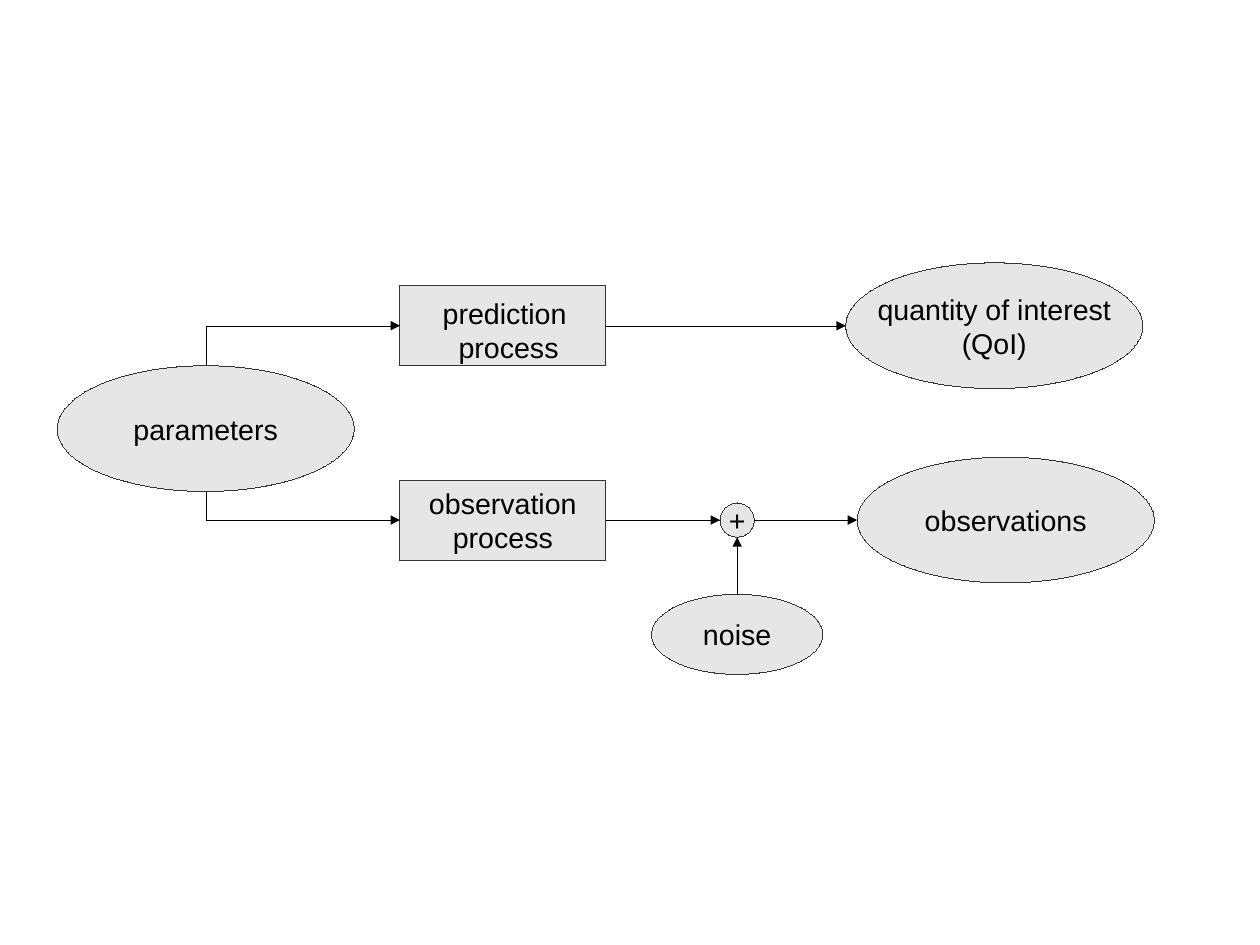
from collections import namedtuple

from lxml.etree import SubElement
from pptx import Presentation
from pptx.dml.color import RGBColor
from pptx.enum.shapes import MSO_CONNECTOR as Link, MSO_SHAPE as Preset
from pptx.enum.text import MSO_ANCHOR as Anchor, MSO_AUTO_SIZE as AutoSize, PP_ALIGN as Align
from pptx.oxml.ns import qn
from pptx.util import Pt

NODE_FILL = RGBColor(0xE6, 0xE6, 0xE6)
NODE_LINE = RGBColor(0x33, 0x33, 0x33)
BLACK = RGBColor(0, 0, 0)

PROCESS_SIZE = (129.6, 50.4)
VARIABLE_SIZE = (187.2, 79.2)
NOISE_SIZE = (108, 50.4)
SUM_SIZE = (21.6, 21.6)


class Box(namedtuple("Box", "left top width height")):
    """An area in points, with the middles of its four sides."""

    @classmethod
    def around(cls, center, size):
        return cls(center[0] - size[0] / 2, center[1] - size[1] / 2, *size)

    @property
    def west(self):
        return self.left, self.top + self.height / 2

    @property
    def east(self):
        return self.left + self.width, self.top + self.height / 2

    @property
    def north(self):
        return self.left + self.width / 2, self.top

    @property
    def south(self):
        return self.left + self.width / 2, self.top + self.height

    def in_points(self):
        return [Pt(length) for length in self]


def write(frame, text, size=18, font="Arial", color=BLACK, anchor=Anchor.MIDDLE, wrap=False):
    frame.word_wrap = wrap
    frame.vertical_anchor = anchor
    for index, line in enumerate(text.split("\n")):
        paragraph = frame.paragraphs[0] if index == 0 else frame.add_paragraph()
        paragraph.alignment = Align.CENTER
        run = paragraph.add_run()
        run.text = line
        run.font.size = Pt(size)
        run.font.name = font
        run.font.color.rgb = color


def set_hairline(part, color):
    """Gives the thinnest line; line.width = 0 would fall back to the theme."""
    part.line.color.rgb = color
    outline = part.line._get_or_add_ln()
    outline.set("w", "0")
    return outline


def add_node(slide, box, preset, text=""):
    node = slide.shapes.add_shape(preset, *box.in_points())
    node.shadow.inherit = False
    node.fill.solid()
    node.fill.fore_color.rgb = NODE_FILL
    set_hairline(node, NODE_LINE)
    if text:
        write(node.text_frame, text)


def add_process(slide, box, text, label_box):
    add_node(slide, box, Preset.RECTANGLE)
    label = slide.shapes.add_textbox(*label_box.in_points())
    write(label.text_frame, text, anchor=Anchor.TOP, wrap=True)
    label.text_frame.auto_size = AutoSize.SHAPE_TO_FIT_TEXT


def add_arrow(slide, start, end, link=Link.STRAIGHT):
    arrow = slide.shapes.add_connector(link, *[Pt(length) for length in (*start, *end)])
    SubElement(set_hairline(arrow, BLACK), qn("a:tailEnd"), type="triangle")
    SubElement(arrow._element.spPr, qn("a:effectLst"))
    return arrow


def add_corner_arrow(slide, start, end):
    """Leaves start vertically and reaches end, to its right, horizontally."""
    rise = start[1] - end[1]
    middle = ((start[0] + end[0]) / 2, (start[1] + end[1]) / 2)
    # The preset bends the other way, so its frame is turned and mirrored
    frame = Box.around(middle, (abs(rise), end[0] - start[0]))
    corner = (frame.left + frame.width, frame.top + frame.height)
    arrow = add_arrow(slide, frame[:2], corner, Link.ELBOW)
    properties = arrow._element.spPr
    properties.find(qn("a:prstGeom")).set("prst", "bentConnector2")
    transform = properties.find(qn("a:xfrm"))
    transform.set("rot", str((90 if rise > 0 else 270) * 60000))
    transform.set("flipH", "1")
    if rise > 0:
        transform.set("flipV", "1")


def add_prediction_row(slide, row, parameters):
    process = Box(row.left, row.west[1] - PROCESS_SIZE[1] / 2, *PROCESS_SIZE)
    interest = Box(row.east[0] - VARIABLE_SIZE[0], row.top, *VARIABLE_SIZE)
    label_box = Box(process.left - 28.8, process.top + 2.88, 194.4, 47.52)
    add_process(slide, process, "prediction \nprocess", label_box)
    add_node(slide, interest, Preset.OVAL, "quantity of interest\n(QoI)")
    add_corner_arrow(slide, parameters.north, process.west)
    add_arrow(slide, process.east, interest.west)


def add_observation_row(slide, row, parameters):
    process = Box(row.left, row.west[1] - PROCESS_SIZE[1] / 2, *PROCESS_SIZE)
    observations = Box(row.east[0] - VARIABLE_SIZE[0], row.top, *VARIABLE_SIZE)
    plus = Box.around((row.left + 212.4, row.west[1]), SUM_SIZE)
    noise = Box(plus.north[0] - NOISE_SIZE[0] / 2, plus.south[1] + 36, *NOISE_SIZE)
    label_box = Box(process.left + 7.2, process.top, 115.2, 47.52)
    add_process(slide, process, "observation process", label_box)
    add_node(slide, plus, Preset.OVAL, "+")
    add_node(slide, noise, Preset.OVAL, "noise")
    add_node(slide, observations, Preset.OVAL, "observations")
    add_corner_arrow(slide, parameters.south, process.west)
    add_arrow(slide, process.east, plus.west)
    add_arrow(slide, noise.north, plus.south)
    add_arrow(slide, plus.east, observations.west)


def main():
    deck = Presentation()
    deck.slide_width, deck.slide_height = Pt(793.75), Pt(595.25)
    slide = deck.slides.add_slide(deck.slide_layouts[6])

    # Shared input of both rows
    parameters = Box(36, 230.4, *VARIABLE_SIZE)
    add_node(slide, parameters, Preset.OVAL, "parameters")

    # From the parameters to the two results
    add_prediction_row(slide, Box(252, 165.6, 468, 79.2), parameters)
    add_observation_row(slide, Box(252, 288, 475.2, 79.2), parameters)

    deck.save("out.pptx")


if __name__ == "__main__":
    main()
